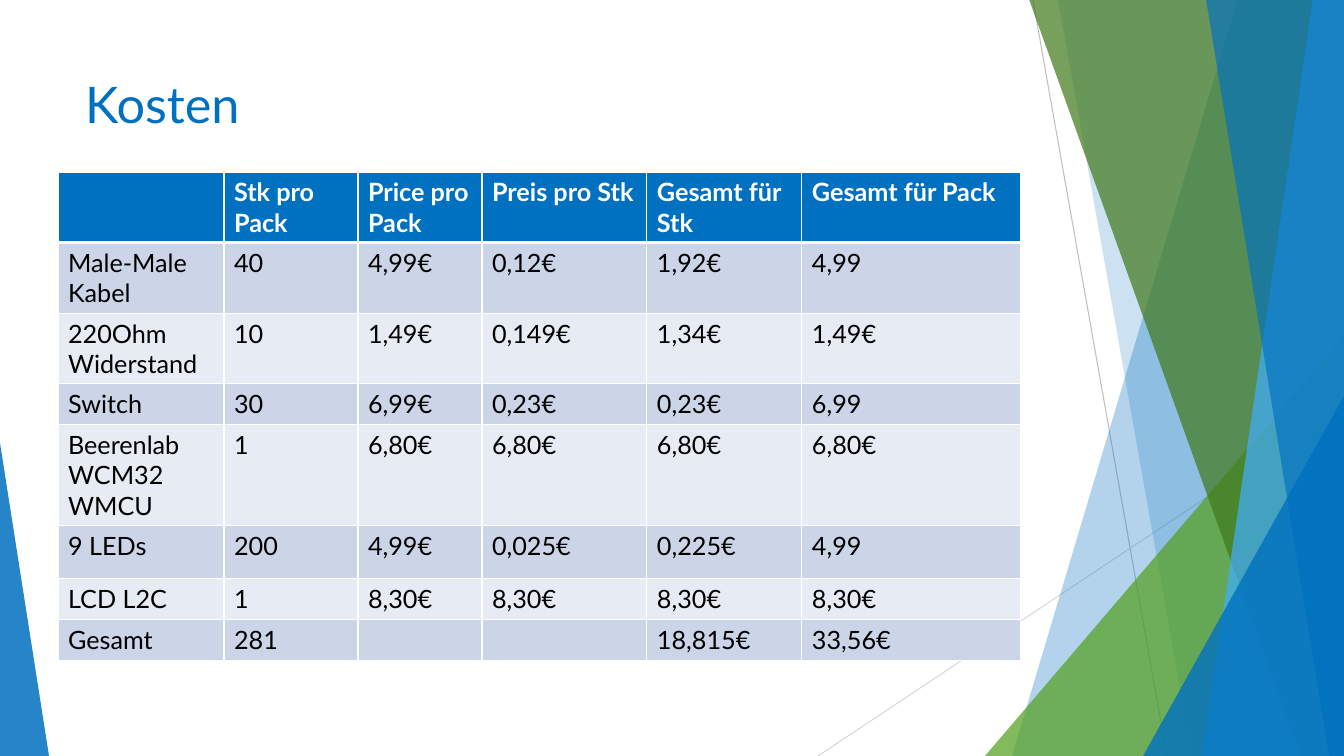
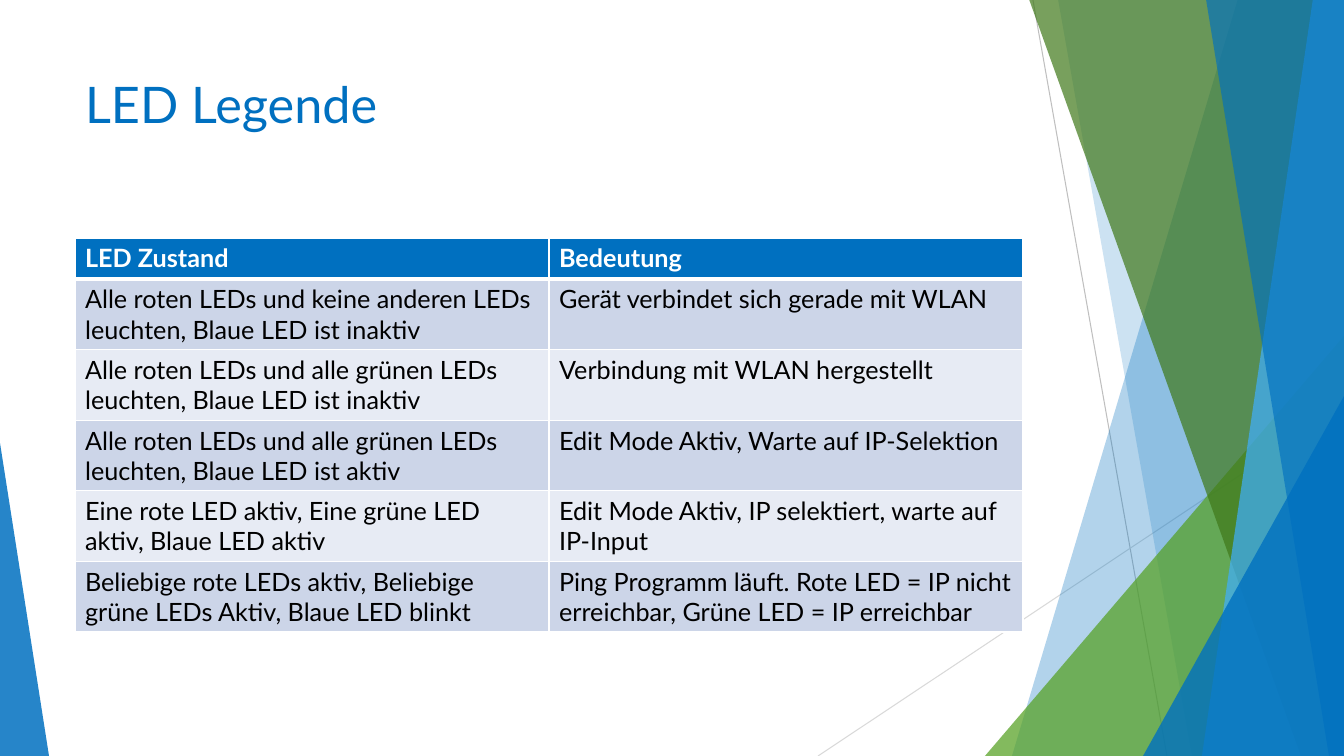
from lxml import etree
from pptx import Presentation
from pptx.dml.color import RGBColor
from pptx.enum.shapes import MSO_CONNECTOR, MSO_SHAPE
from pptx.enum.text import MSO_ANCHOR, PP_ALIGN
from pptx.oxml.ns import qn
from pptx.util import Pt

STRAIGHT = MSO_CONNECTOR.STRAIGHT
TRIANGLE = MSO_SHAPE.ISOSCELES_TRIANGLE
TOP = MSO_ANCHOR.TOP
LEFT = PP_ALIGN.LEFT

PAGE_WIDTH, PAGE_HEIGHT = 1344, 756
EMU_PER_PX = 914400 / 100.8
FONT = "Lato"
BLUE, SKY, GREEN, DARK_GREEN = "0070C0", "40AFFF", "54A021", "3F7819"
WHITE, BLACK = "FFFFFF", "000000"
ROW_FILLS = ("E7EBF4", "CCD5E8")
TITLE_BOX = (75, 68, 948, 145)
ROW_HEIGHT = 41


def px(length):
    return round(length * EMU_PER_PX)


def color(hex_string):
    return RGBColor.from_string(hex_string)


def style_text(para, size, hex_string, bold=False):
    para.alignment = LEFT
    for span in para.runs:
        span.font.name = FONT
        span.font.size = Pt(size)
        span.font.bold = bold
        span.font.color.rgb = color(hex_string)


# Background decoration
def paint(shape, hex_string, opacity):
    shape.shadow.inherit = False
    shape.line.fill.background()
    shape.fill.solid()
    shape.fill.fore_color.rgb = color(hex_string)
    fill_color = shape.element.find(".//" + qn("a:srgbClr"))
    etree.SubElement(fill_color, qn("a:alpha"), val=str(opacity * 1000))
    return shape


def add_hairline(page, start, end, hex_string):
    line = page.shapes.add_connector(STRAIGHT, *map(px, start + end))
    line.line.color.rgb = color(hex_string)
    line.line.width = Pt(0.75)
    etree.SubElement(line.element.find(qn("p:spPr")), qn("a:effectLst"))
    return line


def add_band(page, top_x, bottom_x, hex_string, opacity):
    """A band that runs from a slanted left edge to the right page edge."""
    outline = page.shapes.build_freeform(top_x, -1, scale=EMU_PER_PX)
    outline.add_line_segments(
        [(PAGE_WIDTH, -1), (PAGE_WIDTH, PAGE_HEIGHT), (bottom_x, PAGE_HEIGHT)])
    return paint(outline.convert_to_shape(), hex_string, opacity)


def add_corner(page, left, top, width, apex, hex_string, opacity):
    """A right triangle that stands on the bottom page edge."""
    box = map(px, (left, top, width, PAGE_HEIGHT - top))
    triangle = page.shapes.add_shape(TRIANGLE, *box)
    triangle.adjustments[0] = apex
    return paint(triangle, hex_string, opacity)


def decorate_layout(layout, page):
    """Draw the decoration on a page, then move it behind the layout's parts."""
    parts = [
        add_hairline(page, (1033, 0), (1167, PAGE_HEIGHT), "BFBFBF"),
        add_hairline(page, (PAGE_WIDTH, 406), (818, PAGE_HEIGHT), "D9D9D9"),
        add_band(page, 1238, 1012, BLUE, 30),
        add_band(page, 1058, 1192, BLUE, 20),
        add_corner(page, 985, 336, 359, 1, GREEN, 72),
        add_band(page, 1029, 1301, DARK_GREEN, 70),
        add_band(page, 1313, 1202, SKY, 70),
        add_band(page, 1206, 1329, BLUE, 65),
        add_corner(page, 1143, 396, 201, 1, BLUE, 80),
        add_corner(page, 0, 443, 49, 0, BLUE, 85),
    ]
    for index, part in enumerate(parts):
        part.element.find(".//" + qn("p:cNvPr")).set("id", str(100 + index))
        layout.shapes.element.insert(2 + index, part.element)


def place_layout_title(layout):
    title = layout.placeholders[0]
    title.left, title.top, title.width, title.height = map(px, TITLE_BOX)
    title.text_frame.vertical_anchor = TOP


# Tables
def set_borders(cell, bottom_width):
    properties = cell._tc.get_or_add_tcPr()
    widths = (("a:lnL", 1), ("a:lnR", 1), ("a:lnT", 1), ("a:lnB", bottom_width))
    for index, (tag, width) in enumerate(widths):
        border = etree.Element(qn(tag), w=str(Pt(width)))
        fill = etree.SubElement(border, qn("a:solidFill"))
        etree.SubElement(fill, qn("a:srgbClr"), val=WHITE)
        properties.insert(index, border)


def fill_cell(cell, text, is_header, background):
    cell.text_frame.text = text
    style_text(cell.text_frame.paragraphs[0], 18,
               WHITE if is_header else BLACK, is_header)
    cell.fill.solid()
    cell.fill.fore_color.rgb = color(background)
    set_borders(cell, 3 if is_header else 1)


def add_grid(page, box, column_widths, rows, tall_rows):
    frame = page.shapes.add_table(len(rows), len(column_widths), *map(px, box))
    table = frame.table
    for column, width in zip(table.columns, column_widths):
        column.width = px(width)
    for row_index, texts in enumerate(rows):
        is_header = row_index == 0
        row = table.rows[row_index]
        row.height = px(tall_rows.get(row_index, ROW_HEIGHT))
        background = BLUE if is_header else ROW_FILLS[row_index % 2]
        for cell, text in zip(row.cells, texts):
            fill_cell(cell, text, is_header, background)
    frame.height = px(box[3])


def fill_page(page, title, box, column_widths, rows, tall_rows):
    page.shapes.title.text_frame.text = title
    style_text(page.shapes.title.text_frame.paragraphs[0], 36, BLUE)
    add_grid(page, box, column_widths, rows, tall_rows)


COST_ROWS = [
    ("", "Stk pro Pack", "Price pro Pack", "Preis pro Stk", "Gesamt für Stk",
     "Gesamt für Pack"),
    ("Male-Male Kabel", "40", "4,99€", "0,12€", "1,92€", "4,99"),
    ("220Ohm Widerstand", "10", "1,49€", "0,149€", "1,34€", "1,49€"),
    ("Switch", "30", "6,99€", "0,23€", "0,23€", "6,99"),
    ("Beerenlab WCM32 WMCU", "1", "6,80€", "6,80€", "6,80€", "6,80€"),
    ("9 LEDs", "200", "4,99€", "0,025€", "0,225€", "4,99"),
    ("LCD L2C", "1", "8,30€", "8,30€", "8,30€", "8,30€"),
    ("Gesamt", "281", "", "", "18,815€", "33,56€"),
]
LEGEND_ROWS = [
    ("LED Zustand", "Bedeutung"),
    ("Alle roten LEDs und keine anderen LEDs leuchten, Blaue LED ist inaktiv",
     "Gerät verbindet sich gerade mit WLAN"),
    ("Alle roten LEDs und alle grünen LEDs leuchten, Blaue LED ist inaktiv",
     "Verbindung mit WLAN hergestellt"),
    ("Alle roten LEDs und alle grünen LEDs leuchten, Blaue LED ist aktiv",
     "Edit Mode Aktiv, Warte auf IP-Selektion"),
    ("Eine rote LED aktiv, Eine grüne LED aktiv, Blaue LED aktiv",
     "Edit Mode Aktiv, IP selektiert, warte auf IP-Input"),
    ("Beliebige rote LEDs aktiv, Beliebige grüne LEDs Aktiv, Blaue LED blinkt",
     "Ping Programm läuft. Rote LED = IP nicht erreichbar, "
     "Grüne LED = IP erreichbar"),
]
# Title, table box, column widths, rows, heights of taller rows
PAGES = [
    ("Kosten", (58, 172, 963, 458), (166, 134, 124, 165, 155, 219),
     COST_ROWS, {5: 53}),
    ("LED Legende", (75, 238, 948, 424), (474, 474), LEGEND_ROWS, {}),
]


def main():
    deck = Presentation()
    deck.slide_width, deck.slide_height = px(PAGE_WIDTH), px(PAGE_HEIGHT)
    layout = deck.slide_layouts.get_by_name("Title Only")
    place_layout_title(layout)
    pages = [deck.slides.add_slide(layout) for _ in PAGES]
    decorate_layout(layout, pages[0])
    for page, content in zip(pages, PAGES):
        fill_page(page, *content)
    deck.save("out.pptx")


if __name__ == "__main__":
    main()
